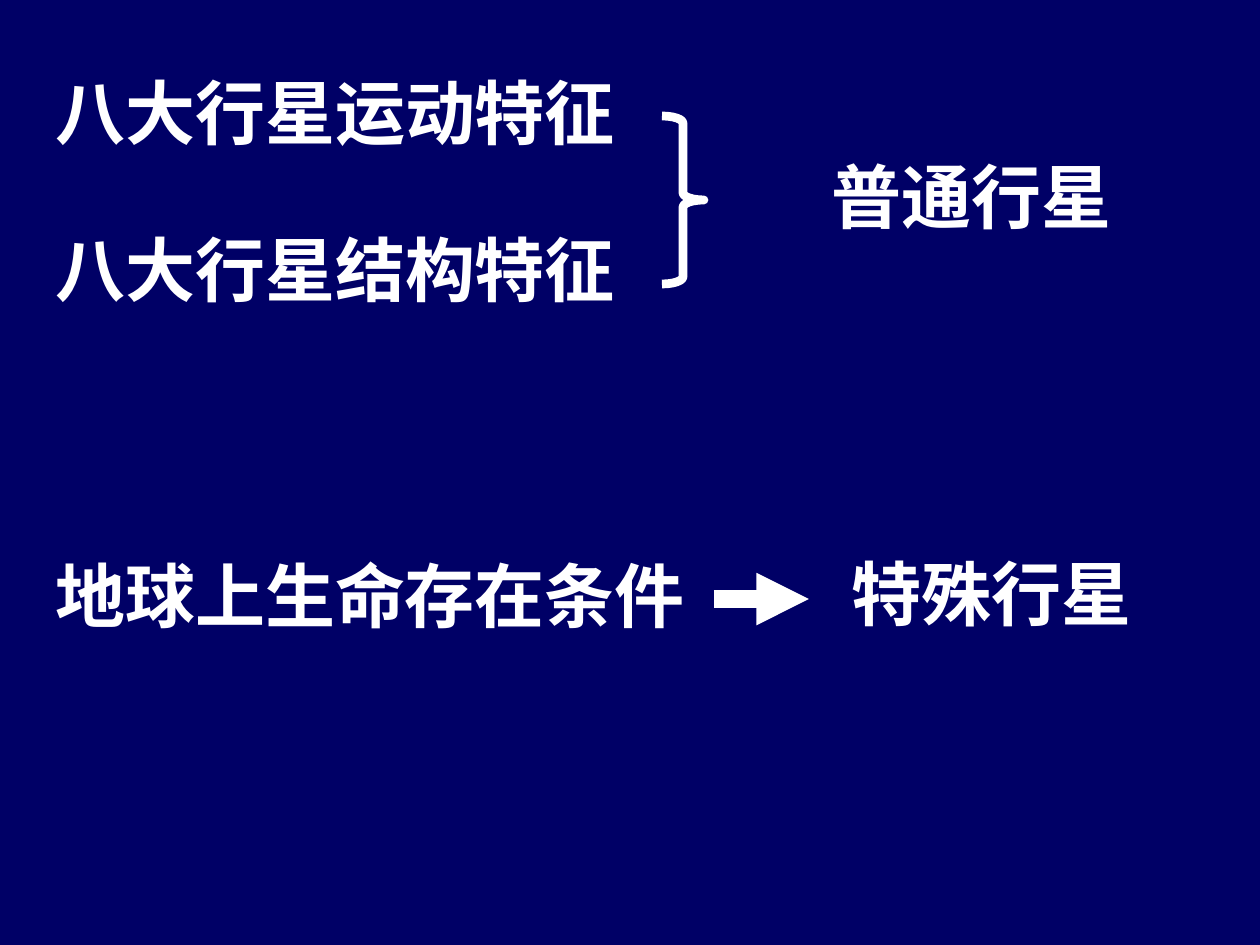
from dataclasses import dataclass

from lxml.etree import SubElement
from pptx import Presentation
from pptx.dml.color import RGBColor
from pptx.enum.shapes import MSO_CONNECTOR, MSO_SHAPE
from pptx.enum.text import MSO_AUTO_SIZE
from pptx.oxml.ns import qn
from pptx.util import Pt

PX_PER_INCH = 126


@dataclass(frozen=True)
class Theme:
    background: RGBColor = RGBColor(0x00, 0x00, 0x66)
    ink: RGBColor = RGBColor(0xFF, 0xFF, 0xFF)
    font: str = "Times New Roman"
    label_size: int = 40
    brace_width: int = 5
    arrow_width: int = 10


THEME = Theme()


def px(length):
    return round(length * 914400 / PX_PER_INCH)


def add_label(page, text, left, top):
    """One line of bold text, in a box as wide as its characters."""
    width = len(text) * 70 + 25
    box = page.shapes.add_textbox(px(left), px(top), px(width), px(97))
    frame = box.text_frame
    frame.word_wrap = False
    frame.auto_size = MSO_AUTO_SIZE.SHAPE_TO_FIT_TEXT
    para = frame.paragraphs[0]
    para.text = text
    para.font.name = THEME.font
    para.font.size = Pt(THEME.label_size)
    para.font.bold = True
    para.font.color.rgb = THEME.ink


def add_brace(page, left, top, width, height):
    brace = page.shapes.add_shape(
        MSO_SHAPE.RIGHT_BRACE, px(left), px(top), px(width), px(height))
    brace.shadow.inherit = False
    brace.adjustments[0] = 0.17
    brace.adjustments[1] = 0.5
    brace.fill.background()
    brace.line.color.rgb = THEME.ink
    brace.line.width = Pt(THEME.brace_width)


def add_arrow(page, start, end, middle):
    arrow = page.shapes.add_connector(
        MSO_CONNECTOR.STRAIGHT, px(start), px(middle), px(end), px(middle))
    arrow.line.color.rgb = THEME.ink
    arrow.line.width = Pt(THEME.arrow_width)
    properties = arrow._element.spPr
    SubElement(properties.find(qn("a:ln")), qn("a:tailEnd"), type="triangle")
    SubElement(properties, qn("a:effectLst"))


def main():
    deck = Presentation()
    deck.slide_width, deck.slide_height = px(1260), px(945)
    page = deck.slides.add_slide(deck.slide_layouts[6])
    page.background.fill.solid()
    page.background.fill.fore_color.rgb = THEME.background

    # Two shared features make an ordinary planet
    add_label(page, "八大行星运动特征", 43, 63)
    add_label(page, "八大行星结构特征", 43, 220)
    add_brace(page, 662, 116, 42, 168)
    add_label(page, "普通行星", 819, 147)

    # Conditions for life make a special planet
    add_label(page, "地球上生命存在条件", 43, 546)
    add_label(page, "特殊行星", 839, 544)
    add_arrow(page, 714, 809, 599)

    deck.save("out.pptx")


if __name__ == "__main__":
    main()
